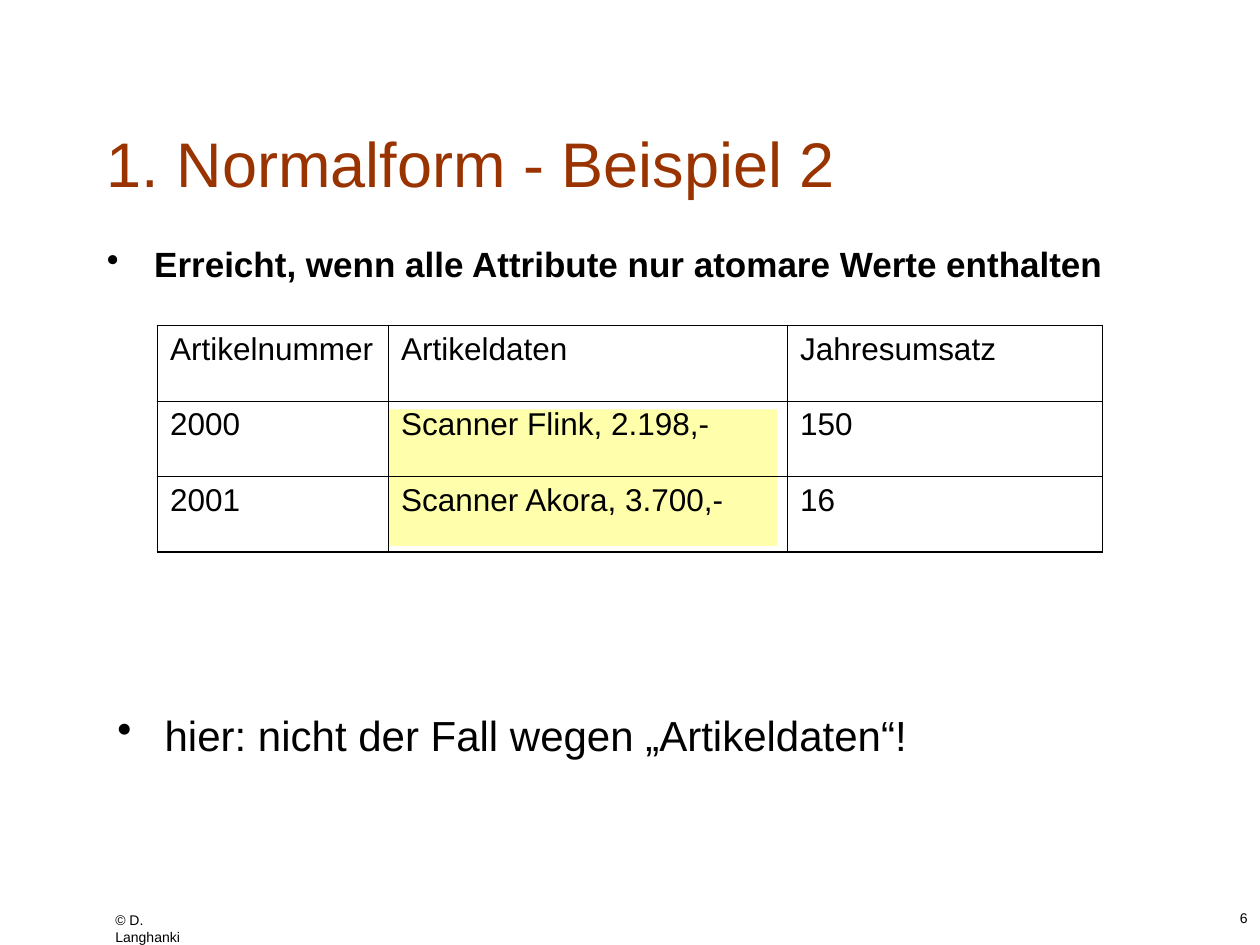
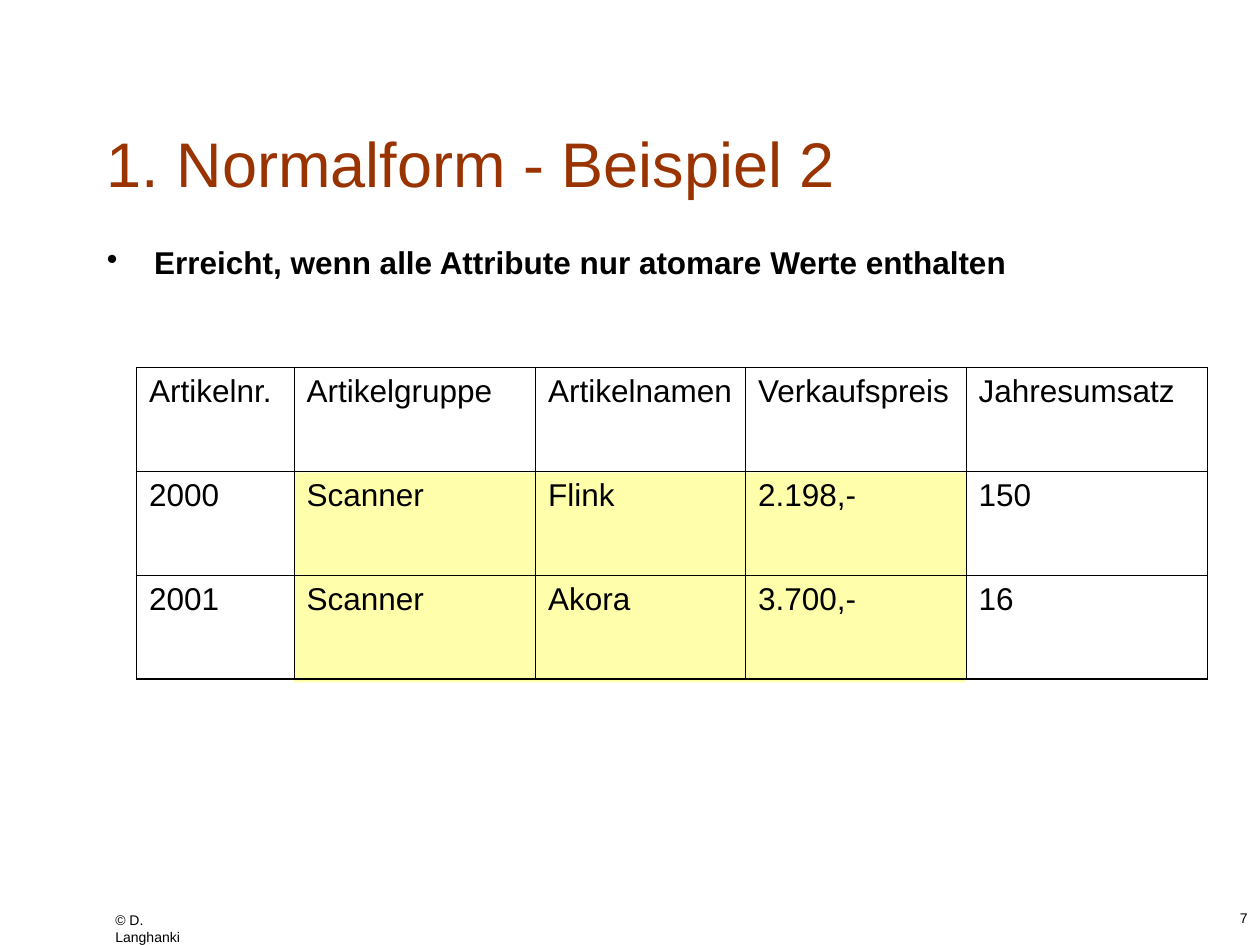
"""Build two slides on the first normal form."""
from dataclasses import dataclass

from lxml import etree
from pptx import Presentation
from pptx.dml.color import RGBColor
from pptx.enum.shapes import MSO_SHAPE
from pptx.enum.text import MSO_ANCHOR, PP_ALIGN
from pptx.oxml.ns import qn
from pptx.util import Pt

PX = 7620
RECTANGLE = MSO_SHAPE.RECTANGLE
MIDDLE = MSO_ANCHOR.MIDDLE
RIGHT = PP_ALIGN.RIGHT


@dataclass(frozen=True)
class Theme:
    """Colours, font and type sizes shared by the slides."""
    font: str = "Arial"
    ink: str = "000000"
    heading: str = "993300"
    highlight: str = "FFFF00"
    highlight_alpha: int = 33000
    title_size: int = 36
    remark_size: int = 24
    rule_size: int = 20
    cell_size: int = 18
    footer_size: int = 8
    outer_line: float = 1.08
    inner_line: float = 0.45


THEME = Theme()
TITLE = "1. Normalform - Beispiel 2"
RULE = "Erreicht, wenn alle Attribute nur atomare Werte enthalten"
COPYRIGHT = "© D. Langhanki"
HANGING_INDENT = 45


def px(*lengths):
    """Turn px lengths into EMU."""
    return [length * PX for length in lengths]


def format_paragraph(paragraph, size, color=THEME.ink, bold=False):
    """Apply font values to a paragraph."""
    values = {"name": THEME.font, "size": Pt(size), "bold": bold}
    for attribute, value in values.items():
        setattr(paragraph.font, attribute, value)
    paragraph.font.color.rgb = RGBColor.from_string(color)


def add_text(slide, box, text, size, color=THEME.ink, bold=False, wrap=True,
             paragraph_format=None, frame_format=None, bullet=False):
    """Add a text box holding one paragraph."""
    frame = slide.shapes.add_textbox(*px(*box)).text_frame
    for attribute, value in {"word_wrap": wrap, **(frame_format or {})}.items():
        setattr(frame, attribute, value)
    paragraph = frame.paragraphs[0]
    paragraph.text = text
    if bullet:
        add_bullet(paragraph)
    for attribute, value in (paragraph_format or {}).items():
        setattr(paragraph, attribute, value)
    format_paragraph(paragraph, size, color, bold)


def add_bullet(paragraph):
    """Give a paragraph a round bullet and a hanging indent."""
    properties = paragraph._p.get_or_add_pPr()
    indent, = px(HANGING_INDENT)
    properties.set("marL", str(indent))
    properties.set("indent", str(-indent))
    etree.SubElement(properties, qn("a:buChar")).set("char", "•")


def add_highlight(slide, box):
    """Add a translucent rectangle to lie behind table cells."""
    highlight = slide.shapes.add_shape(RECTANGLE, *px(*box))
    highlight.shadow.inherit = False
    highlight.line.fill.background()
    highlight.fill.solid()
    highlight.fill.fore_color.rgb = RGBColor.from_string(THEME.highlight)
    color = highlight.fill._xPr.find(f".//{qn('a:srgbClr')}")
    etree.SubElement(color, qn("a:alpha")).set("val", str(THEME.highlight_alpha))


def add_border(cell, side, width):
    """Draw one side of a cell."""
    line = etree.SubElement(cell._tc.get_or_add_tcPr(), qn(f"a:ln{side}"))
    line.set("w", str(Pt(width)))
    fill = etree.SubElement(line, qn("a:solidFill"))
    etree.SubElement(fill, qn("a:srgbClr")).set("val", THEME.ink)


def add_article_table(slide, left, top, widths, row_height, records):
    """Add an unfilled table with a heavier outer frame."""
    row_count, column_count = len(records), len(widths)
    frame = slide.shapes.add_table(
        row_count, column_count,
        *px(left, top, sum(widths), row_height * row_count))
    table = frame.table
    table.first_row = table.horz_banding = False
    for column, width in zip(table.columns, widths):
        column.width, = px(width)
    for r, record in enumerate(records):
        table.rows[r].height, = px(row_height)
        for c, value in enumerate(record):
            cell = table.cell(r, c)
            cell.text = value
            format_paragraph(cell.text_frame.paragraphs[0], THEME.cell_size)
            outer_sides = {"L": c == 0, "R": c == column_count - 1,
                           "T": r == 0, "B": r == row_count - 1}
            for side, is_outer in outer_sides.items():
                add_border(cell, side, THEME.outer_line if is_outer else THEME.inner_line)
            cell.fill.background()


def add_normal_form_slide(deck, number, rule_size):
    """Add a slide with the shared title, rule and footer."""
    slide = deck.slides.add_slide(deck.slide_layouts[6])
    add_text(slide, (98, 862, 116, 29), COPYRIGHT, THEME.footer_size, wrap=False)
    add_text(slide, (90, 80, 1020, 150), TITLE, THEME.title_size, THEME.heading,
             frame_format={"vertical_anchor": MIDDLE})
    add_text(slide, (90, 230, 1110, 90), RULE, rule_size, bold=True, bullet=True,
             paragraph_format={"line_spacing": 0.9})
    add_text(slide, (950, 860, 250, 40), str(number), THEME.footer_size,
             paragraph_format={"alignment": RIGHT})
    return slide


def main():
    """Build and save the deck."""
    deck = Presentation()
    deck.slide_width, deck.slide_height = px(1200, 900)

    combined = add_normal_form_slide(deck, 6, THEME.rule_size)
    add_text(combined, (100, 670, 1020, 90), "hier: nicht der Fall wegen „Artikeldaten“!",
             THEME.remark_size, bullet=True)
    add_highlight(combined, (370, 390, 370, 130))
    add_article_table(combined, 150, 310, (220, 380, 300), 72, (
        ("Artikelnummer", "Artikeldaten", "Jahresumsatz"),
        ("2000", "Scanner Flink, 2.198,-", "150"),
        ("2001", "Scanner Akora, 3.700,-", "16"),
    ))

    atomic = add_normal_form_slide(deck, 7, THEME.cell_size)
    add_highlight(atomic, (280, 450, 640, 200))
    add_article_table(atomic, 130, 350, (150, 230, 200, 210, 230), 99, (
        ("Artikelnr.", "Artikelgruppe", "Artikelnamen", "Verkaufspreis", "Jahresumsatz"),
        ("2000", "Scanner", "Flink", "2.198,-", "150"),
        ("2001", "Scanner", "Akora", "3.700,-", "16"),
    ))

    deck.save("out.pptx")


if __name__ == "__main__":
    main()
